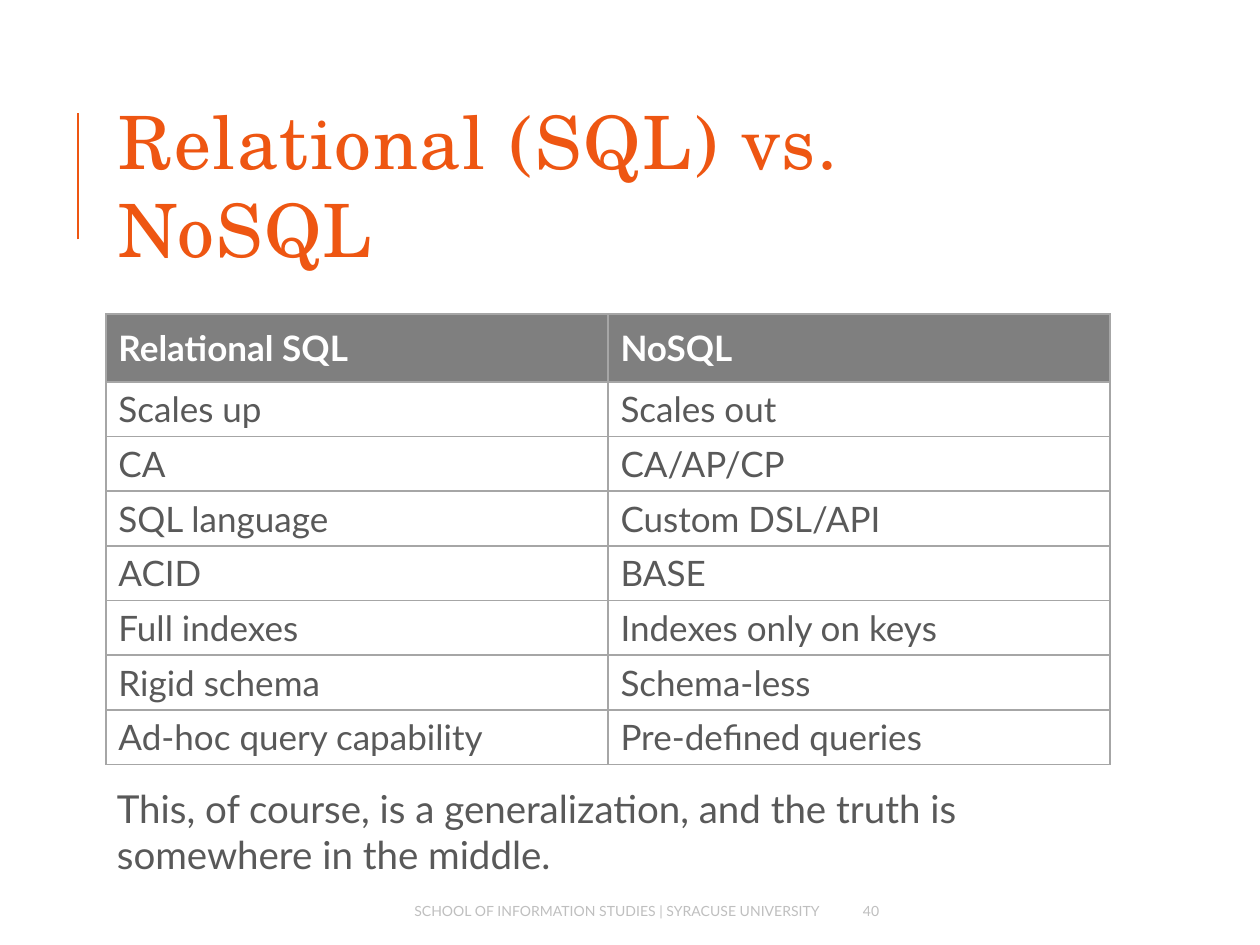
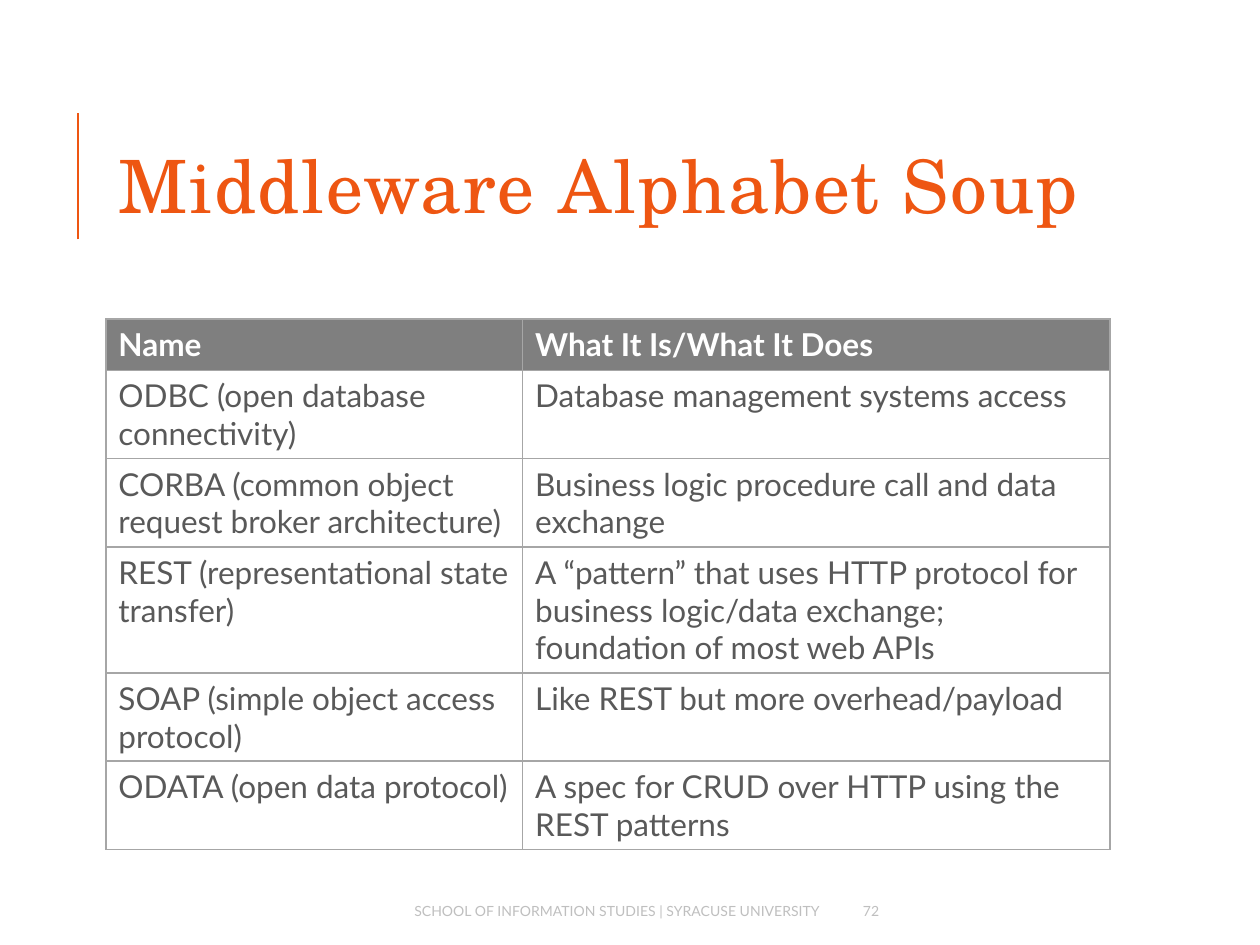
from dataclasses import dataclass
from typing import Optional

from lxml import etree
from pptx import Presentation
from pptx.dml.color import RGBColor
from pptx.enum.shapes import MSO_CONNECTOR
from pptx.enum.text import MSO_ANCHOR, PP_ALIGN
from pptx.oxml.ns import qn
from pptx.slide import Slide
from pptx.table import _Cell
from pptx.util import Inches, Length, Pt

STRAIGHT = MSO_CONNECTOR.STRAIGHT
TOP, MIDDLE = MSO_ANCHOR.TOP, MSO_ANCHOR.MIDDLE
LEFT, RIGHT = PP_ALIGN.LEFT, PP_ALIGN.RIGHT

COLORS = {
    "accent": "EE5612",
    "header": "7F7F7F",
    "white": "FFFFFF",
    "body": "595959",
    "border": "A6A6A6",
    "footer": "BFBFBF",
}
TITLE_FONT, BODY_FONT = "TeX Gyre Schola", "Lato"
FOOTER = "SCHOOL OF INFORMATION STUDIES | SYRACUSE UNIVERSITY"

# The page is a grid of 100 columns by 75 rows of square units
SLIDE_WIDTH, SLIDE_HEIGHT = Inches(10), Inches(7.5)
COLUMNS, ROWS = 100, 75
CONTENT_LEFT, CONTENT_WIDTH = 8.4, 79.7


def columns(count: float) -> Length:
    return Length(round(SLIDE_WIDTH * count / COLUMNS))


def rows(count: float) -> Length:
    return Length(round(SLIDE_HEIGHT * count / ROWS))


@dataclass(frozen=True)
class Box:
    left: float
    top: float
    width: float
    height: float

    def emu(self) -> tuple[Length, Length, Length, Length]:
        return columns(self.left), rows(self.top), columns(self.width), rows(self.height)


@dataclass(frozen=True)
class TextStyle:
    size: int
    color: str
    font: str = BODY_FONT
    bold: bool = False
    align: PP_ALIGN = LEFT
    anchor: MSO_ANCHOR = TOP
    spacing: int = 0


@dataclass(frozen=True)
class ComparisonSlide:
    title: str
    number: int
    table_top: float
    first_column_share: float
    header_height: float
    header_anchor: MSO_ANCHOR
    size: int
    cells: list[tuple[str, str]]
    closing: Optional[str] = None


TITLE_BOX = Box(CONTENT_LEFT, 6.4, CONTENT_WIDTH, 16.4)
FOOTER_BOX = Box(18.9, 70.8, 47.2, 3)
NUMBER_BOX = Box(67.5, 70.8, 9.1, 3)
CLOSING_BOX = Box(8.3, 61.8, CONTENT_WIDTH, 6.8)
ROW_HEIGHT = 4.1

TITLE_STYLE = TextStyle(42, "accent", TITLE_FONT, anchor=MIDDLE, spacing=100)
FOOTER_STYLE = TextStyle(8, "footer", align=RIGHT, anchor=MIDDLE)
NUMBER_STYLE = TextStyle(8, "footer", anchor=MIDDLE)
CLOSING_STYLE = TextStyle(22, "body")

SLIDES = [
    ComparisonSlide(
        "Relational (SQL) vs. NoSQL", 40, 24.9, 0.5, 5.4, MIDDLE, 20,
        [
            ("Relational SQL", "NoSQL"),
            ("Scales up", "Scales out"),
            ("CA", "CA/AP/CP"),
            ("SQL language", "Custom DSL/API"),
            ("ACID", "BASE"),
            ("Full indexes", "Indexes only on keys"),
            ("Rigid schema", "Schema-less"),
            ("Ad-hoc query capability", "Pre-defined queries"),
        ],
        "This, of course, is a generalization, and the truth is somewhere in the middle.",
    ),
    ComparisonSlide(
        "Middleware Alphabet Soup", 72, 25.3, 0.415, ROW_HEIGHT, TOP, 18,
        [
            ("Name", "What It Is/What It Does"),
            ("ODBC (open database connectivity)", "Database management systems access"),
            ("CORBA (common object request broker architecture)",
             "Business logic procedure call and data exchange"),
            ("REST (representational state transfer)",
             "A “pattern” that uses HTTP protocol for business logic/data exchange; "
             "foundation of most web APIs"),
            ("SOAP (simple object access protocol)", "Like REST but more overhead/payload"),
            ("ODATA (open data protocol)", "A spec for CRUD over HTTP using the REST patterns"),
        ],
    ),
]


def rgb(name: str) -> RGBColor:
    return RGBColor.from_string(COLORS[name])


def write(holder, text: str, style: TextStyle) -> None:
    """Fill a text box or a table cell with one styled paragraph."""
    holder.vertical_anchor = style.anchor
    frame = holder.text_frame if isinstance(holder, _Cell) else holder
    paragraph = frame.paragraphs[0]
    run = paragraph.add_run()
    run.text = text
    paragraph.alignment = style.align
    font = paragraph.font
    font.name, font.size, font.bold = style.font, Pt(style.size), style.bold
    font.color.rgb = rgb(style.color)
    if style.spacing:
        run.font._element.set("spc", str(style.spacing))


def add_text(slide: Slide, box: Box, text: str, style: TextStyle) -> None:
    frame = slide.shapes.add_textbox(*box.emu()).text_frame
    frame.word_wrap = True
    write(frame, text, style)


def add_title_rule(slide: Slide) -> None:
    rule = slide.shapes.add_connector(STRAIGHT, columns(6.2), rows(19), columns(6.2), rows(9))
    rule.line.color.rgb = rgb("accent")
    rule.line.width = Pt(1.5)
    etree.SubElement(rule._element.spPr, qn("a:effectLst"))


def format_cell(cell: _Cell, fill: str) -> None:
    properties = cell._tc.get_or_add_tcPr()
    for side in ("lnL", "lnR", "lnT", "lnB"):
        border = etree.SubElement(properties, qn(f"a:{side}"), w=str(Pt(1)))
        solid = etree.SubElement(border, qn("a:solidFill"))
        etree.SubElement(solid, qn("a:srgbClr"), val=COLORS["border"])
    cell.fill.solid()
    cell.fill.fore_color.rgb = rgb(fill)


def add_comparison_table(slide: Slide, content: ComparisonSlide) -> None:
    heights = [content.header_height] + [ROW_HEIGHT] * (len(content.cells) - 1)
    box = Box(CONTENT_LEFT, content.table_top, CONTENT_WIDTH, sum(heights))
    table = slide.shapes.add_table(len(heights), 2, *box.emu()).table
    table.horz_banding = False
    shares = (content.first_column_share, 1 - content.first_column_share)
    for column, share in zip(table.columns, shares):
        column.width = columns(CONTENT_WIDTH * share)

    header = TextStyle(content.size, "white", bold=True, anchor=content.header_anchor)
    body = TextStyle(content.size, "body")
    for row_index, (height, texts) in enumerate(zip(heights, content.cells)):
        table.rows[row_index].height = rows(height)
        style, fill = (body, "white") if row_index else (header, "header")
        for column_index, text in enumerate(texts):
            cell = table.cell(row_index, column_index)
            format_cell(cell, fill)
            write(cell, text, style)


def build_slide(presentation, content: ComparisonSlide) -> None:
    slide = presentation.slides.add_slide(presentation.slide_layouts[6])
    slide.background.fill.solid()
    slide.background.fill.fore_color.rgb = rgb("white")
    # Title
    add_title_rule(slide)
    add_text(slide, TITLE_BOX, content.title, TITLE_STYLE)
    # Content
    add_comparison_table(slide, content)
    if content.closing:
        add_text(slide, CLOSING_BOX, content.closing, CLOSING_STYLE)
    # Footer
    add_text(slide, FOOTER_BOX, FOOTER, FOOTER_STYLE)
    add_text(slide, NUMBER_BOX, str(content.number), NUMBER_STYLE)


def main() -> None:
    presentation = Presentation()
    presentation.slide_width, presentation.slide_height = SLIDE_WIDTH, SLIDE_HEIGHT
    for content in SLIDES:
        build_slide(presentation, content)
    presentation.save("out.pptx")


if __name__ == "__main__":
    main()
